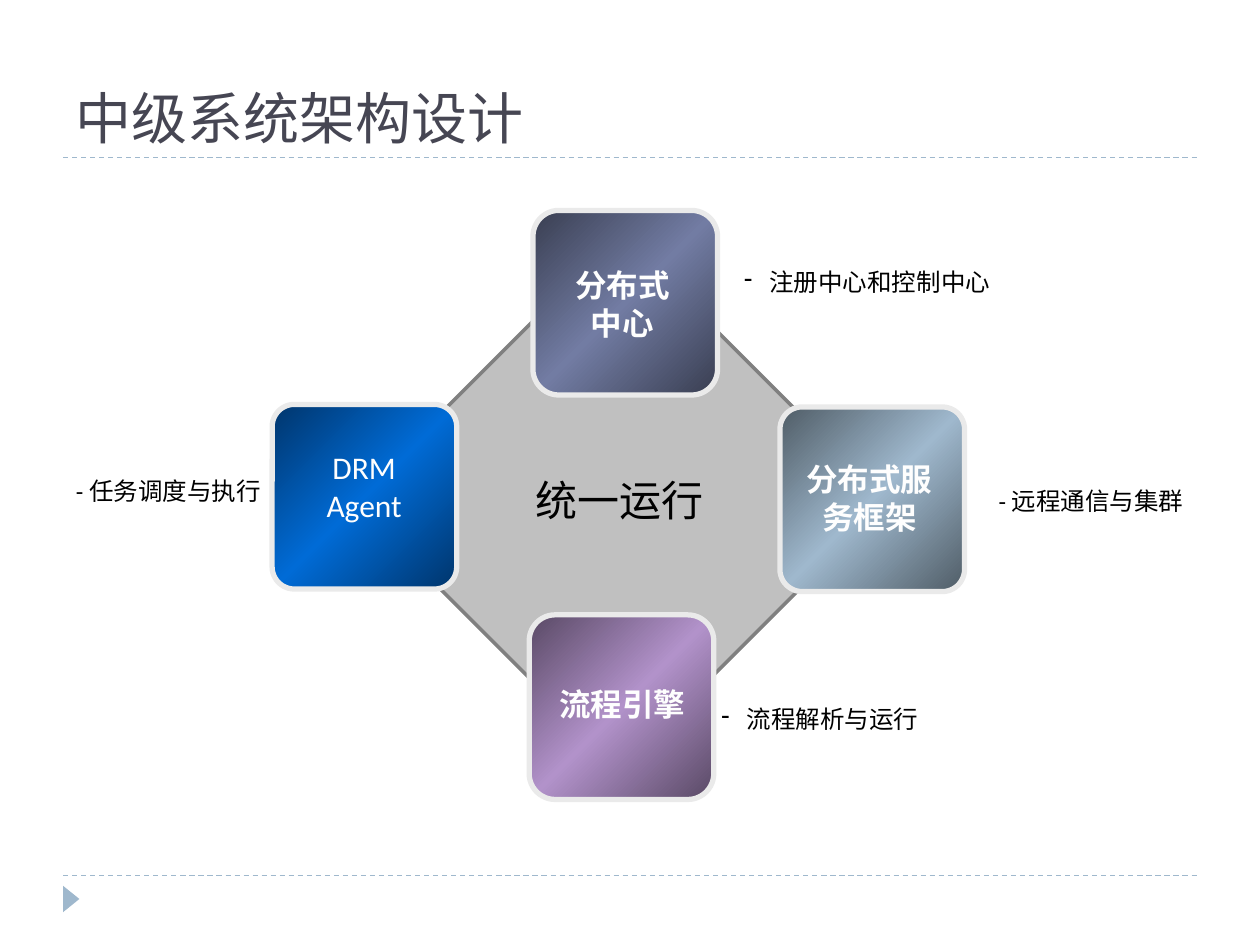
from pptx import Presentation
from pptx.dml.color import RGBColor
from pptx.enum.dml import MSO_LINE
from pptx.enum.shapes import MSO_CONNECTOR, MSO_SHAPE as SHAPE
from pptx.enum.text import MSO_ANCHOR as ANCHOR, MSO_AUTO_SIZE as AUTO, PP_ALIGN as ALIGN
from pptx.oxml import parse_xml
from pptx.oxml.ns import nsdecls, qn
from pptx.util import Inches, Pt
from lxml.etree import SubElement

COLS, ROWS = 100, 75
TILE = 14.65


def rgb(code):
    return RGBColor.from_string(code)


def shade(code):
    """Half as bright as the given colour."""
    return "".join(f"{int(code[i:i + 2], 16) // 2:02X}" for i in (0, 2, 4))


class Deck:
    font = "Calibri"
    ink = "000000"
    pale = "FEFEFE"
    mist = "9FB8CD"

    def __init__(self):
        self.prs = Presentation()
        self.prs.slide_width, self.prs.slide_height = Inches(10), Inches(7.5)
        self.slide = self.prs.slides.add_slide(self.prs.slide_layouts[5])
        self.slide.background.fill.solid()
        self.slide.background.fill.fore_color.rgb = rgb("FFFFFF")

    def grid(self, *spots):
        """Turn column, row, column, row... into lengths on the slide."""
        units = (self.prs.slide_width / COLS, self.prs.slide_height / ROWS)
        return [round(s * units[i % 2]) for i, s in enumerate(spots)]

    def style(self, para, size, color, font=None, bold=False):
        for run in para.runs:
            run.font.size, run.font.bold = Pt(size), bold
            run.font.name = font or self.font
            run.font.color.rgb = rgb(color)

    def title(self, text, *box):
        head = self.slide.shapes.title
        head.left, head.top, head.width, head.height = self.grid(*box)
        frame = head.text_frame
        frame.text = text
        frame.auto_size = AUTO.NONE
        frame.vertical_anchor = ANCHOR.BOTTOM
        frame.paragraphs[0].alignment = ALIGN.LEFT
        self.style(frame.paragraphs[0], 32, "464653", "Roboto Slab")

    def rule(self, row):
        line = self.slide.shapes.add_connector(
            MSO_CONNECTOR.STRAIGHT, *self.grid(5, row, 95, row))
        line.line.color.rgb = rgb(self.mist)
        line.line.width = Pt(0.75)
        line.line.dash_style = MSO_LINE.DASH
        SubElement(line._element.spPr, qn("a:effectLst"))

    def shape(self, kind, box, fill, edge=None, width=0, turn=0):
        item = self.slide.shapes.add_shape(kind, *self.grid(*box))
        item.shadow.inherit = False
        item.rotation = turn
        item.fill.solid()
        item.fill.fore_color.rgb = rgb(fill)
        if edge:
            item.line.color.rgb = rgb(edge)
            item.line.width = Pt(width)
        else:
            item.line.fill.background()
        return item

    def text(self, text, box, size=14, color=ink, align=ALIGN.CENTER, **look):
        frame = self.slide.shapes.add_textbox(*self.grid(*box)).text_frame
        frame.word_wrap = True
        frame.auto_size = AUTO.SHAPE_TO_FIT_TEXT
        frame.text = text
        for para in frame.paragraphs:
            para.alignment = align
            self.style(para, size, color, **look)
        return frame

    def bullet(self, text, box):
        para = self.text(text, box).paragraphs[0]
        props = para._p.get_or_add_pPr()
        props.set("marL", str(Inches(0.05)))
        props.set("indent", str(-Inches(0.2)))
        SubElement(props, qn("a:buChar"), char="-")

    def tile(self, text, left, top, color, corner, label, bold=True):
        """Shiny square with shadowed text in its own box."""
        item = self.shape(SHAPE.ROUNDED_RECTANGLE, (left, top, TILE, TILE),
                          color, "EAEAEA", 3)
        item.adjustments[0] = corner
        stops = "".join(
            f'<a:gs pos="{pos}"><a:srgbClr val="{code}"/></a:gs>'
            for pos, code in ((0, shade(color)), (50000, color), (100000, shade(color))))
        solid = item._element.spPr.find(qn("a:solidFill"))
        solid.getparent().replace(solid, parse_xml(
            f'<a:gradFill {nsdecls("a")} rotWithShape="1"><a:gsLst>{stops}</a:gsLst>'
            '<a:lin ang="2700000" scaled="0"/></a:gradFill>'))
        frame = self.text(text, label, 18, self.pale, bold=bold)
        for para in frame.paragraphs:
            for run in para.runs:
                run._r.rPr.find(qn("a:solidFill")).addnext(parse_xml(
                    f'<a:effectLst {nsdecls("a")}><a:outerShdw blurRad="38100" '
                    'dist="38100" dir="2700000"><a:srgbClr val="000000"/>'
                    '</a:outerShdw></a:effectLst>'))


def main():
    deck = Deck()
    deck.rule(69.5)
    deck.rule(12.5)
    deck.shape(SHAPE.ISOSCELES_TRIANGLE, (4.6, 70.7, 2.1, 1.3), deck.mist, turn=90)
    deck.title("中级系统架构设计", 5, 1.7, 90, 10.8)

    deck.bullet("流程解析与运行", (55.5, 55.4, 20.5, 3.4))
    deck.bullet("注册中心和控制中心", (57.9, 20.7, 23.2, 3.4))
    deck.text("- 任务调度与执行", (3.6, 37.3, 18.1, 3.4), align=ALIGN.RIGHT)
    deck.text("- 远程通信与集群", (77.5, 38.1, 18.2, 3.4))

    deck.shape(SHAPE.RECTANGLE, (34.2, 24.8, 30, 30), "C0C0C0", "808080", 2, 45)
    deck.text("统一运行", (37.5, 37.2, 23.3, 5), 24, font="TeX Gyre Bonum")

    deck.tile("DRM\nAgent", 21.6, 32.1, "006BD6", 0.12, (21.8, 35.1, 14.2, 7.1), False)
    deck.tile("分布式服务框架", 61.9, 32.3, deck.mist, 0.12, (61.9, 36, 14.2, 7.1))
    deck.tile("分布式\n中心", 42.3, 16.7, "727CA3", 0.14, (42.3, 20.6, 14.2, 7.1))
    deck.tile("流程引擎", 42, 48.8, "B292CA", 0.14, (42.3, 53.9, 14.2, 4))
    deck.prs.save("out.pptx")


if __name__ == "__main__":
    main()
